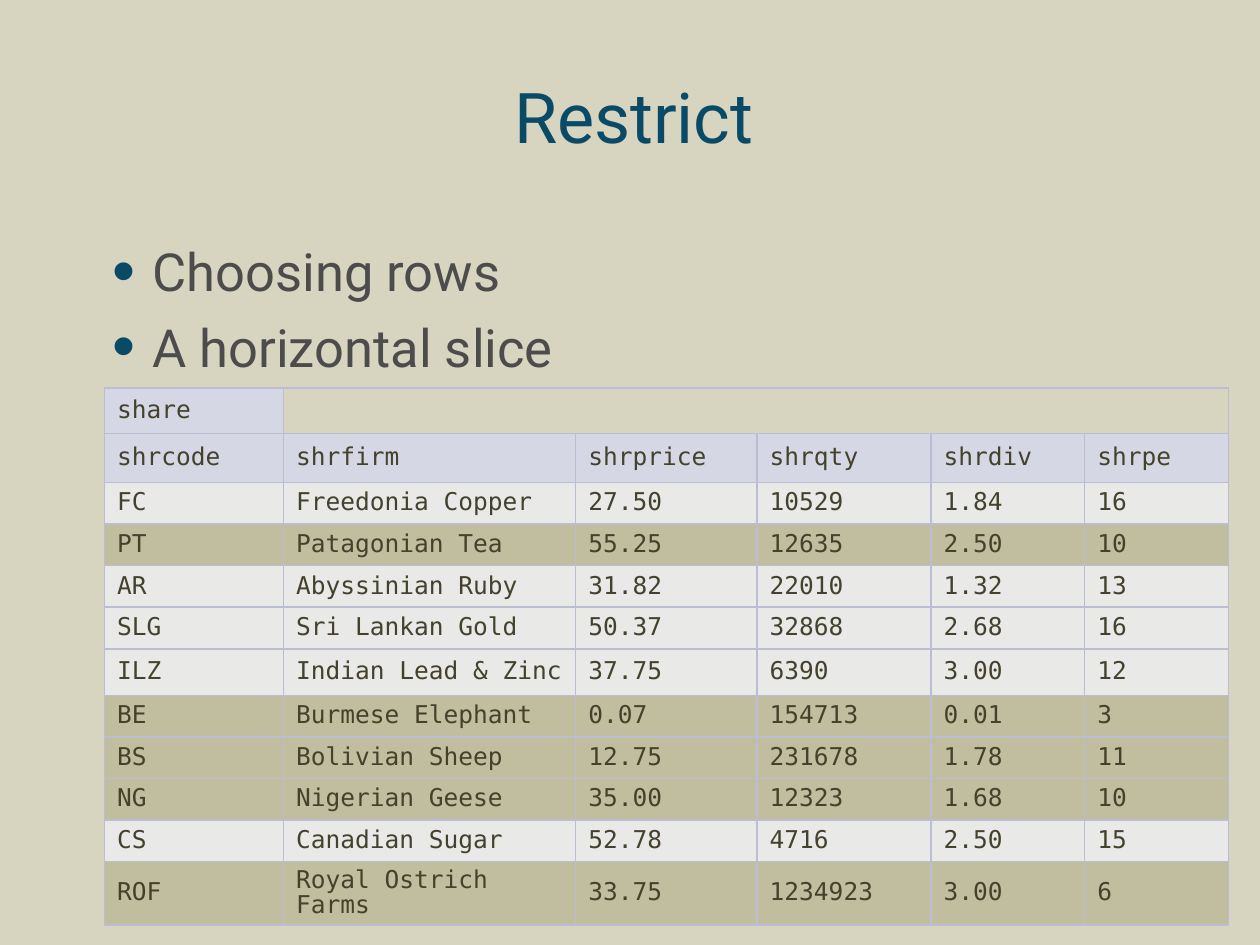
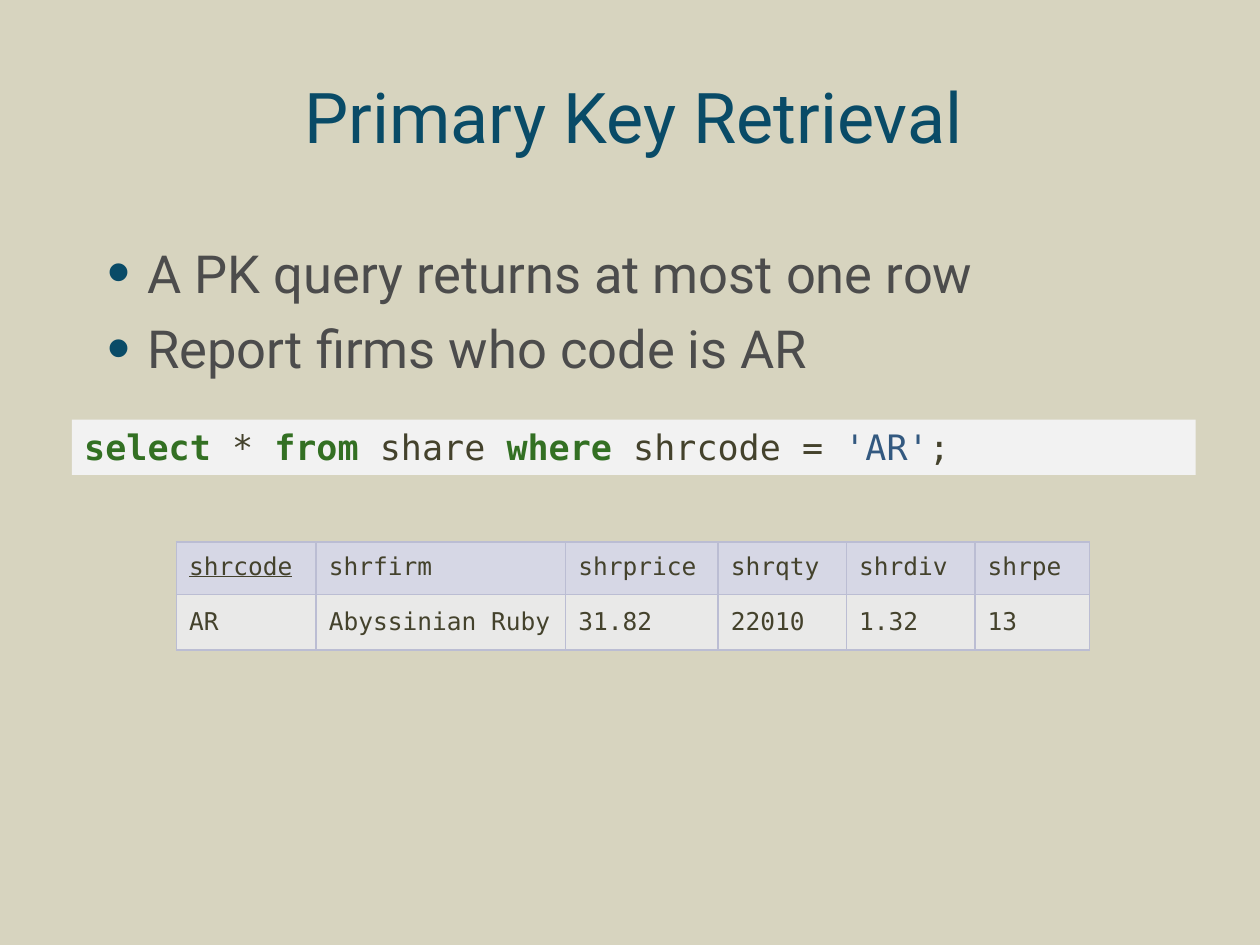
"""Builds two slides on restricting rows and retrieving by primary key."""
from dataclasses import dataclass

from lxml import etree
from pptx import Presentation
from pptx.dml.color import RGBColor
from pptx.enum.shapes import MSO_SHAPE
from pptx.enum.text import MSO_ANCHOR, MSO_AUTO_SIZE, PP_ALIGN
from pptx.oxml.ns import qn
from pptx.util import Inches, Pt

RECTANGLE = MSO_SHAPE.RECTANGLE
TOP, MIDDLE = MSO_ANCHOR.TOP, MSO_ANCHOR.MIDDLE
LEFT, CENTER = PP_ALIGN.LEFT, PP_ALIGN.CENTER
NO_AUTOFIT = MSO_AUTO_SIZE.NONE
TITLE_AND_CONTENT = 1


@dataclass(frozen=True)
class Theme:
    """Colours, fonts and type sizes of the deck."""
    background: str = "D7D4BF"
    accent: str = "094B67"
    body: str = "4C4C4C"
    mono: str = "44422C"
    header: str = "D6D7E5"
    plain: str = "E9E9E8"
    chosen: str = "C0BE9E"
    border: str = "BBBDD3"
    code_band: str = "F2F2F2"
    keyword: str = "337023"
    literal: str = "335980"
    text_font: str = "Roboto"
    mono_font: str = "DejaVu Sans Mono"
    title_size: int = 40
    body_size: int = 30
    code_size: int = 20
    cell_size: int = 14


THEME = Theme()

COLUMNS = ("shrcode", "shrfirm", "shrprice", "shrqty", "shrdiv", "shrpe")
SHARES = [
    ("FC", "Freedonia Copper", "27.50", "10529", "1.84", "16"),
    ("PT", "Patagonian Tea", "55.25", "12635", "2.50", "10"),
    ("AR", "Abyssinian Ruby", "31.82", "22010", "1.32", "13"),
    ("SLG", "Sri Lankan Gold", "50.37", "32868", "2.68", "16"),
    ("ILZ", "Indian Lead & Zinc", "37.75", "6390", "3.00", "12"),
    ("BE", "Burmese Elephant", "0.07", "154713", "0.01", "3"),
    ("BS", "Bolivian Sheep", "12.75", "231678", "1.78", "11"),
    ("NG", "Nigerian Geese", "35.00", "12323", "1.68", "10"),
    ("CS", "Canadian Sugar", "52.78", "4716", "2.50", "15"),
    ("ROF", "Royal Ostrich Farms", "33.75", "1234923", "3.00", "6"),
]
CHOSEN_BELOW_PE = 12
RESTRICT = {
    "title": "Restrict",
    "bullets": ["Choosing rows", "A horizontal slice"],
    "body_height": 1.15,
    "body_insets": (0.1, 0.05),
}
KEY_RETRIEVAL = {
    "title": "Primary Key Retrieval",
    "bullets": ["A PK query returns at most one row", "Report firms who code is AR"],
    "body_height": 4.96,
    "body_insets": (0.06, 0.06),
}
QUERY = [
    ("select", "keyword"), (" * ", "mono"), ("from", "keyword"), (" share ", "mono"),
    ("where ", "keyword"), ("shrcode = ", "mono"), ("'AR'", "literal"), (";", "mono"),
]

SLIDE_WIDTH, SLIDE_HEIGHT = 10, 7.5
CONTENT_LEFT, CONTENT_WIDTH = 0.6, 8.86
TITLE_TOP, TITLE_HEIGHT = 0.31, 1.21
BODY_TOP = 1.85
SHARE_TABLE = {
    "at": (0.83, 3.08),
    "widths": (1.42, 2.32, 1.44, 1.38, 1.22, 1.14),
    "heights": [0.36, 0.39] + [0.33] * 4 + [0.37] + [0.33] * 4 + [0.36],
}
RESULT_TABLE = {
    "at": (1.4, 4.3),
    "widths": (1.11, 1.98, 1.21, 1.02, 1.02, 0.91),
    "heights": [0.42, 0.44],
}
CODE_BAND = (0.57, 3.33, 8.92, 0.44)


def color(name):
    return RGBColor.from_string(getattr(THEME, name))


def style(font, name, size, color_name):
    font.name, font.size = name, Pt(size)
    font.color.rgb = color(color_name)


def place(shape, left, top, width, height):
    shape.left, shape.top = Inches(left), Inches(top)
    shape.width, shape.height = Inches(width), Inches(height)


def set_insets(frame, sides, ends):
    frame.margin_left = frame.margin_right = Inches(sides)
    frame.margin_top = frame.margin_bottom = Inches(ends)


def add_bullet(paragraph):
    properties = paragraph._p.get_or_add_pPr()
    properties.set("marL", str(Inches(0.51)))
    properties.set("indent", str(Inches(-0.32)))
    bullet_color = etree.SubElement(properties, qn("a:buClr"))
    etree.SubElement(bullet_color, qn("a:srgbClr"), val=THEME.accent)
    etree.SubElement(properties, qn("a:buSzPct"), val="125000")
    etree.SubElement(properties, qn("a:buFont"), typeface="Arial")
    etree.SubElement(properties, qn("a:buChar"), char="•")


def add_page(deck, content):
    page = deck.slides.add_slide(deck.slide_layouts[TITLE_AND_CONTENT])
    title, body = page.placeholders
    place(title, CONTENT_LEFT, TITLE_TOP, CONTENT_WIDTH, TITLE_HEIGHT)
    title.text_frame.text = content["title"]
    title.text_frame.vertical_anchor = MIDDLE
    title.text_frame.auto_size = NO_AUTOFIT
    heading = title.text_frame.paragraphs[0]
    heading.alignment = CENTER
    style(heading.font, THEME.text_font, THEME.title_size, "accent")

    place(body, CONTENT_LEFT, BODY_TOP, CONTENT_WIDTH, content["body_height"])
    frame = body.text_frame
    frame.text = "\n".join(content["bullets"])
    frame.auto_size = NO_AUTOFIT
    set_insets(frame, *content["body_insets"])
    for index, paragraph in enumerate(frame.paragraphs):
        paragraph.space_before = Pt(7 if index else 0)
        add_bullet(paragraph)
        style(paragraph.font, THEME.text_font, THEME.body_size, "body")
    return page


def add_borders(cell):
    properties = cell._tc.get_or_add_tcPr()
    for side in ("lnL", "lnR", "lnT", "lnB"):
        line = etree.SubElement(properties, qn(f"a:{side}"), w=str(Pt(1)))
        fill = etree.SubElement(line, qn("a:solidFill"))
        etree.SubElement(fill, qn("a:srgbClr"), val=THEME.border)


def fill_cell(cell, text, fill_name):
    add_borders(cell)
    cell.vertical_anchor = MIDDLE
    if fill_name:
        cell.fill.solid()
        cell.fill.fore_color.rgb = color(fill_name)
    else:
        cell.fill.background()
    cell.text_frame.text = text
    paragraph = cell.text_frame.paragraphs[0]
    paragraph.line_spacing = 0.88
    style(paragraph.font, THEME.mono_font, THEME.cell_size, "mono")
    if not text:
        etree.SubElement(paragraph._p, qn("a:endParaRPr"), sz=str(THEME.cell_size * 100))


def add_grid(page, layout, rows):
    """Adds a table from rows of (values, fill name) pairs."""
    left, top = layout["at"]
    widths, heights = layout["widths"], layout["heights"]
    table = page.shapes.add_table(
        len(rows), len(widths), Inches(left), Inches(top),
        Inches(sum(widths)), Inches(sum(heights))).table
    table.first_row = table.horz_banding = False
    for column, width in zip(table.columns, widths):
        column.width = Inches(width)
    for row, height, (values, fill_name) in zip(table.rows, heights, rows):
        row.height = Inches(height)
        for cell, value in zip(row.cells, values):
            fill_cell(cell, value, fill_name if value else None)
    return table


def share_row(share):
    return share, "chosen" if int(share[-1]) < CHOSEN_BELOW_PE else "plain"


def add_query(page):
    band = page.shapes.add_shape(RECTANGLE, *map(Inches, CODE_BAND))
    band.shadow.inherit = False
    band.fill.solid()
    band.fill.fore_color.rgb = color("code_band")
    band.line.fill.background()
    band.text_frame.vertical_anchor = TOP
    band.text_frame.word_wrap = True
    paragraph = band.text_frame.paragraphs[0]
    paragraph.alignment = LEFT
    for text, kind in QUERY:
        span = paragraph.add_run()
        span.text = text
        style(span.font, THEME.mono_font, THEME.code_size, kind)
        span.font.bold = kind == "keyword"


def main():
    deck = Presentation()
    deck.slide_width, deck.slide_height = Inches(SLIDE_WIDTH), Inches(SLIDE_HEIGHT)
    background = deck.slide_master.background.fill
    background.solid()
    background.fore_color.rgb = color("background")

    page = add_page(deck, RESTRICT)
    name_row = ("share",) + ("",) * (len(COLUMNS) - 1)
    rows = [(name_row, "header"), (COLUMNS, "header")] + [share_row(share) for share in SHARES]
    table = add_grid(page, SHARE_TABLE, rows)
    table.cell(0, 1).merge(table.cell(0, len(COLUMNS) - 1))

    page = add_page(deck, KEY_RETRIEVAL)
    found = [(share, "plain") for share in SHARES if share[0] == "AR"]
    table = add_grid(page, RESULT_TABLE, [(COLUMNS, "header")] + found)
    table.cell(0, 0).text_frame.paragraphs[0].font.underline = True
    add_query(page)

    deck.save("out.pptx")


if __name__ == "__main__":
    main()
